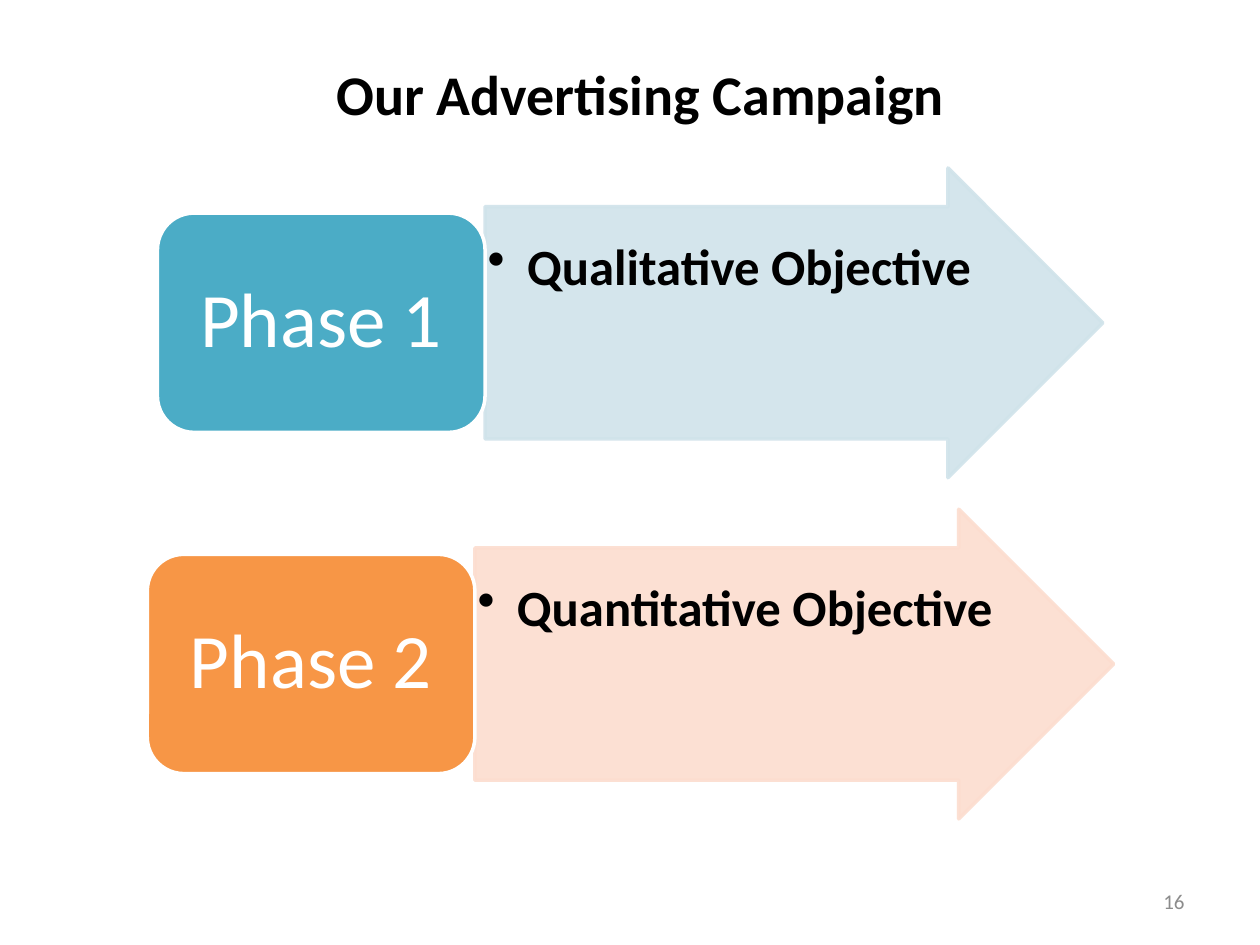
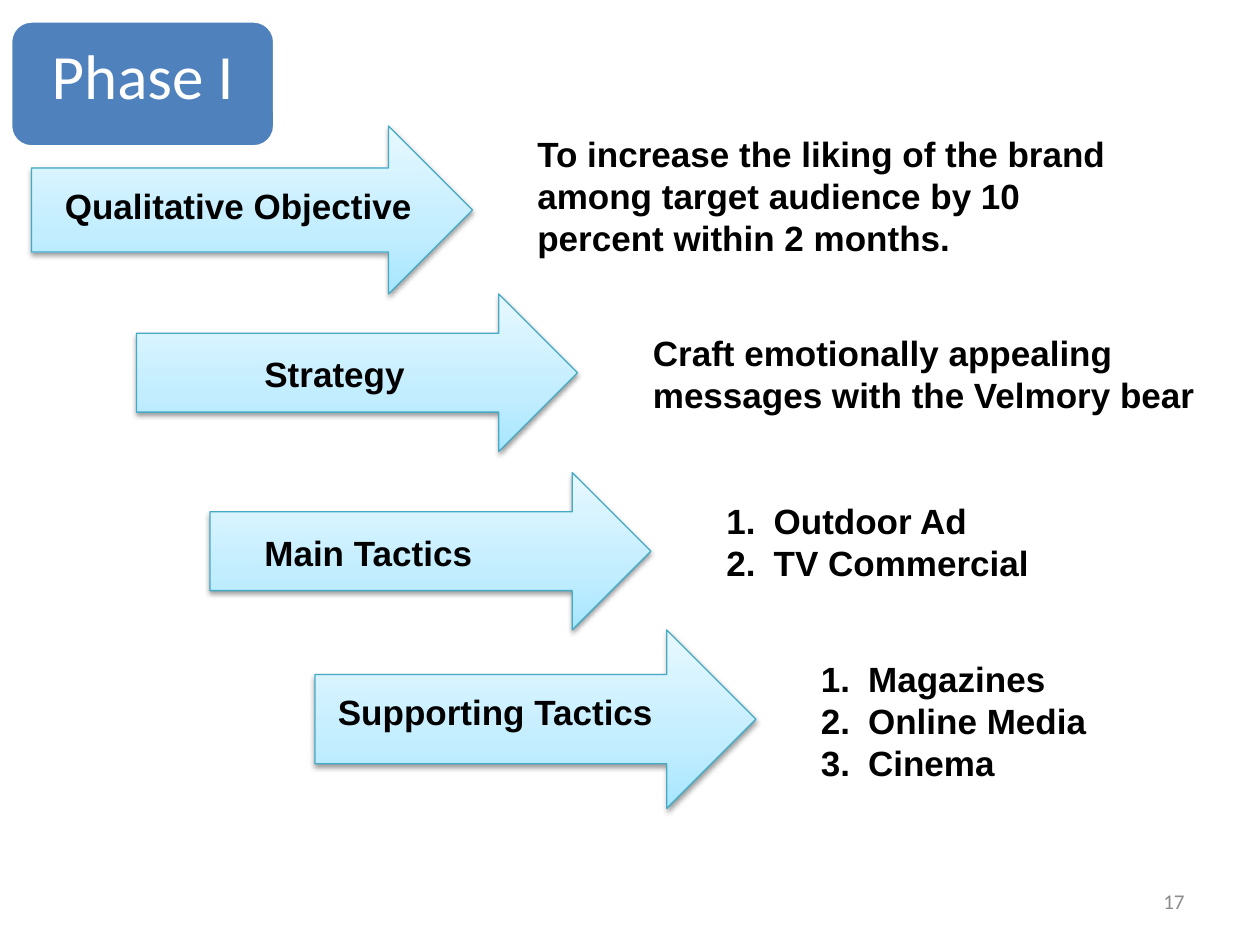
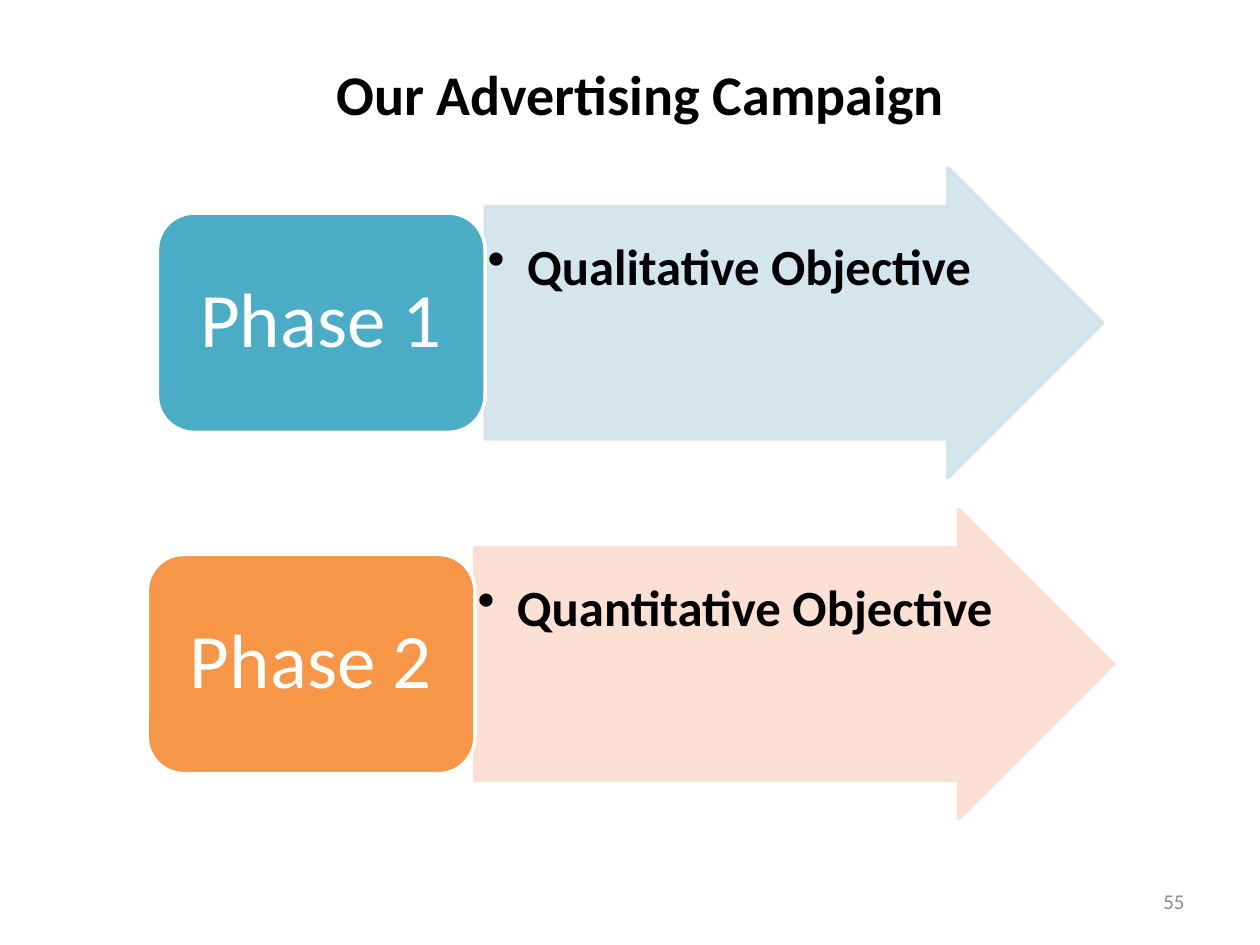
from lxml.etree import SubElement
from pptx import Presentation
from pptx.dml.color import RGBColor
from pptx.enum.shapes import MSO_SHAPE as Preset
from pptx.enum.text import MSO_ANCHOR as Anchor, PP_ALIGN as Align
from pptx.oxml import parse_xml
from pptx.oxml.ns import nsdecls, qn
from pptx.util import Pt

BLACK, WHITE, GREY = "000000", "FFFFFF", "8C8C8C"
HEADING, BODY = "Calibri", "Arial"
ICE_STOPS = [(0, "A7E6FF"), (35, "C1EDFF"), (100, "E7F8FF")]
ICE_EDGE = "46AAC5"
MARGINS = (7.2, 3.6, 7.2, 3.6)


def color(value):
    """Turn a hex string into a colour."""
    return RGBColor.from_string(value)


class Campaign:
    """Deck style and the slide being filled."""

    def __init__(self):
        """Open a 10 by 7.5 inch deck."""
        self.deck = Presentation()
        self.deck.slide_width, self.deck.slide_height = Pt(720), Pt(540)

    def new_page(self, number):
        """Start a blank slide with its number."""
        self.page = self.deck.slides.add_slide(self.deck.slide_layouts[6])
        self.text((516.25, 500.4, 167.75, 28.8), [str(number)], 12, HEADING, GREY,
                  align=Align.RIGHT, anchor=Anchor.MIDDLE)

    def set_text(self, shape, lines, size, font, ink, bold=False, align=Align.LEFT,
                 anchor=Anchor.TOP, margins=MARGINS, spacing=None, bullet=None, indent=0):
        """Fill a shape with paragraphs of one style."""
        frame = shape.text_frame
        frame.word_wrap, frame.vertical_anchor = True, anchor
        (frame.margin_left, frame.margin_top,
         frame.margin_right, frame.margin_bottom) = map(Pt, margins)
        for index, line in enumerate(lines):
            para = frame.add_paragraph() if index else frame.paragraphs[0]
            para.text, para.alignment = line, align
            if spacing:
                para.line_spacing = spacing
            if bullet:
                props = para._p.get_or_add_pPr()
                props.set("marL", str(Pt(indent)))
                props.set("indent", str(-Pt(indent)))
                tag, attributes = bullet
                SubElement(props, qn(tag), attributes)
            para.font.name, para.font.size, para.font.bold = font, Pt(size), bold
            para.font.color.rgb = color(ink)

    def text(self, area, lines, size, font, ink=BLACK, **style):
        """Add a text box."""
        box = self.page.shapes.add_textbox(*map(Pt, area))
        self.set_text(box, lines, size, font, ink, **style)

    def shape(self, preset, area, edge, weight, fill=None):
        """Add a preset shape without shadow."""
        shape = self.page.shapes.add_shape(preset, *map(Pt, area))
        shape.shadow.inherit = False
        if fill:
            shape.fill.solid()
            shape.fill.fore_color.rgb = color(fill)
        shape.line.color.rgb, shape.line.width = color(edge), Pt(weight)
        return shape

    def title(self, words):
        """Add the slide title."""
        self.text((36, 30.2, 660, 46), [words], 32, HEADING, bold=True, align=Align.CENTER)

    def block(self, words, area, fill, size, lift=0):
        """Add a rounded phase block."""
        block = self.shape(Preset.ROUNDED_RECTANGLE, area, WHITE, 2, fill)
        self.set_text(block, [words], size, HEADING, WHITE, align=Align.CENTER,
                      anchor=Anchor.MIDDLE, margins=(13, 6.5, 13, 6.5 + lift), spacing=0.9)

    def goal_arrow(self, words, area, tint):
        """Add a translucent arrow with a bulleted goal."""
        arrow = self.shape(Preset.RIGHT_ARROW, area, tint, 2, tint)
        arrow.adjustments[0] = 0.75
        for swatch in list(arrow._element.spPr.iter(qn("a:srgbClr"))):
            SubElement(swatch, qn("a:alpha"), val="90000")
        self.set_text(arrow, [words], 29, HEADING, BLACK, bold=True, indent=22.5,
                      margins=(1.5, 16, 1.5, 1.5), bullet=("a:buChar", {"char": "•"}))

    def ice_arrow(self, area):
        """Add a gradient arrow with a soft shadow."""
        arrow = self.shape(Preset.RIGHT_ARROW, area, ICE_EDGE, 0.75)
        stops = "".join(f'<a:gs pos="{place * 1000}"><a:srgbClr val="{tone}"/></a:gs>'
                        for place, tone in ICE_STOPS)
        props = arrow._element.spPr
        props.find(qn("a:prstGeom")).addnext(parse_xml(
            f'<a:gradFill {nsdecls("a")} rotWithShape="1"><a:gsLst>{stops}</a:gsLst>'
            '<a:lin ang="16200000" scaled="0"/></a:gradFill>'))
        props.find(qn("a:effectLst")).append(parse_xml(
            f'<a:outerShdw {nsdecls("a")} blurRad="{Pt(3.1)}" dist="{Pt(1.6)}" dir="5400000" '
            'rotWithShape="0"><a:srgbClr val="000000"><a:alpha val="38000"/></a:srgbClr>'
            '</a:outerShdw>'))


PHASES = [
    ("Phase 1", "4BACC6", "Qualitative Objective", "D0E3EA", 90, 353),
    ("Phase 2", "F79646", "Quantitative Objective", "FCDDCF", 84.2, 365),
]

STEPS = [
    ("Qualitative Objective", (30, 102), (18, 72, 252, 96), (300, 72, 360, 80),
     ["To increase the liking of the brand among target audience by 10 percent within 2 months."]),
    ("Strategy", (144, 198), (78, 168, 252, 90), (366, 186, 324, 80),
     ["Craft emotionally appealing messages with the Velmory bear"]),
    ("Main Tactics", (144, 300), (120, 270, 252, 90), (408, 282, 198, 56),
     ["Outdoor Ad", "TV Commercial"]),
    ("Supporting Tactics", (186, 391), (180, 360, 252, 102), (462, 372, 186, 80),
     ["Magazines", "Online Media", "Cinema"]),
]


def overview(campaign, number):
    """Build the overview of both phases."""
    campaign.new_page(number)
    campaign.title("Our Advertising Campaign")
    for row, (phase, fill, goal, tint, left, length) in enumerate(PHASES):
        drop = row * 195
        campaign.goal_arrow(goal, (left + 187.2, 96 + drop, length, 177), tint)
        campaign.block(phase, (left, 121.8 + drop, 187.2, 125.3), fill, 44)


def phase_steps(campaign, number):
    """Build the staircase of steps for the first phase."""
    campaign.new_page(number)
    campaign.block("Phase I", (6, 12, 151, 72), "4F81BD", 36, lift=6)
    for label, corner, arrow, area, lines in STEPS:
        campaign.ice_arrow(arrow)
        campaign.text((*corner, 225, 31.5), [label], 20, BODY, bold=True)
        numbered = len(lines) > 1
        bullet = ("a:buAutoNum", {"type": "arabicPeriod"}) if numbered else None
        campaign.text(area, lines, 20, BODY, bold=True, bullet=bullet, indent=27)


def main():
    """Build and save the deck."""
    campaign = Campaign()
    overview(campaign, 16)
    phase_steps(campaign, 17)
    overview(campaign, 55)
    campaign.deck.save("out.pptx")


if __name__ == "__main__":
    main()
